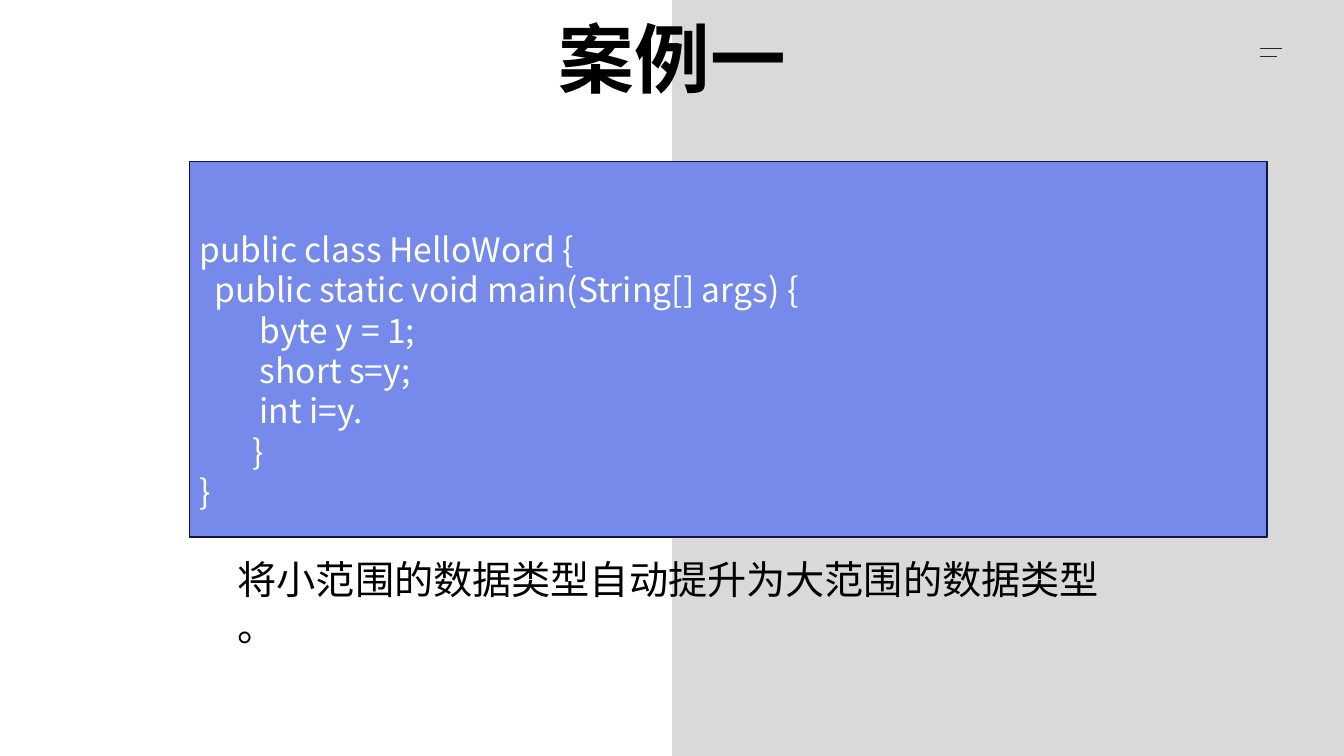
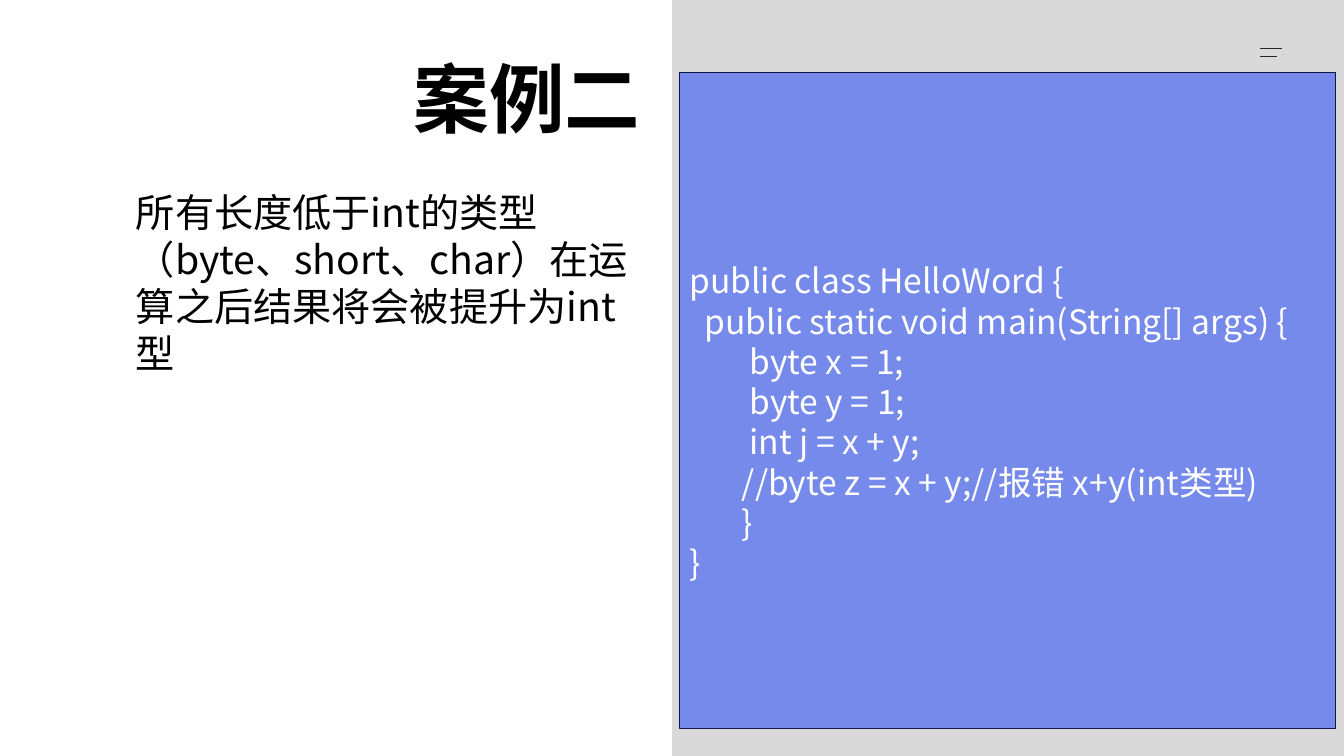
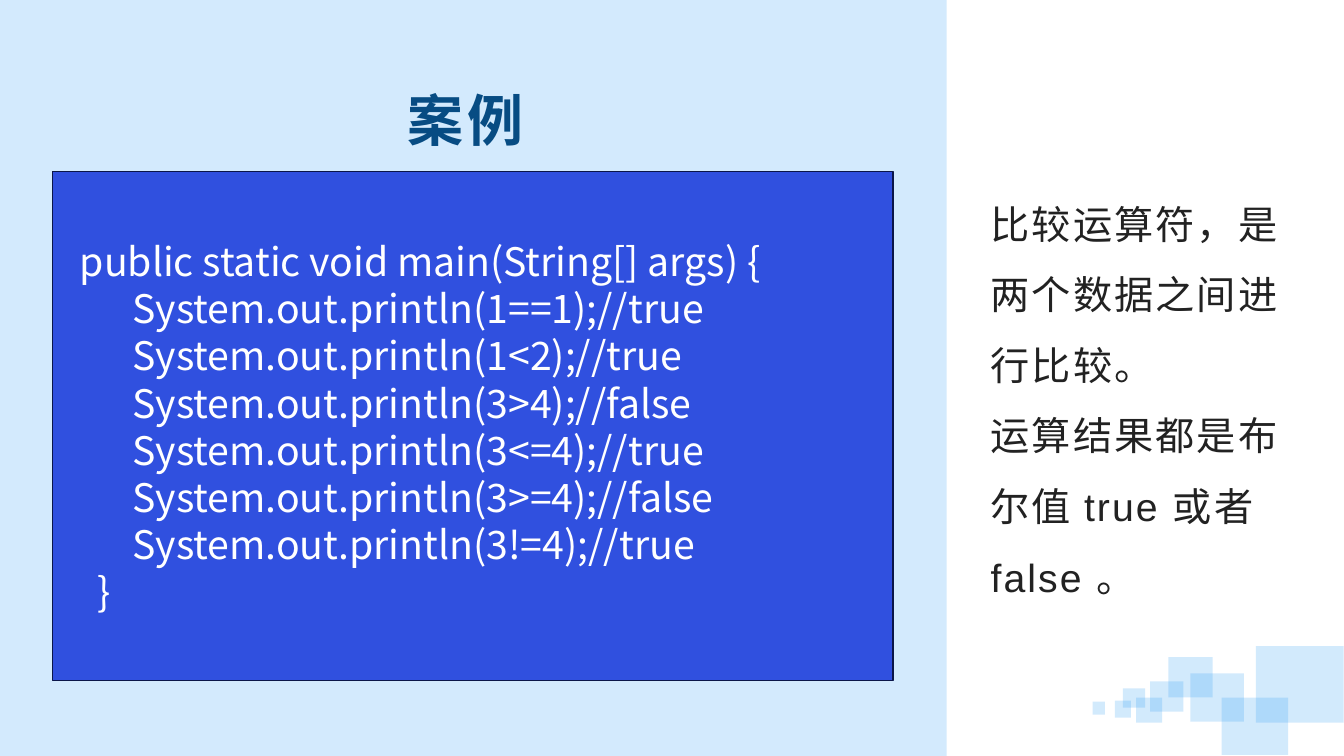
from typing import NamedTuple, Optional

from lxml.etree import SubElement
from pptx import Presentation
from pptx.dml.color import RGBColor
from pptx.enum.shapes import MSO_CONNECTOR as Connector, MSO_SHAPE as Preset
from pptx.enum.text import MSO_ANCHOR as Anchor, MSO_AUTO_SIZE as AutoSize, PP_ALIGN as Align
from pptx.oxml.ns import qn
from pptx.util import Inches, Pt

# Grid: ten cells to the inch
COLUMNS, ROWS = 133.33, 75
HALF = COLUMNS / 2
INSET_X, INSET_Y = 1, 0.5

# Shared palette and fonts
BLACK, WHITE, INK = "000000", "FFFFFF", "222222"
GREY, DASH, OUTLINE = "D9D9D9", "262626", "0B1649"
PERIWINKLE, ROYAL = "758AEA", "3050DF"
PALE_BLUE, DEEP_BLUE, SQUARE_BLUE = "D3EAFD", "074C83", "2196F3"
LATIN, CJK = "Arial", "Noto Sans CJK SC"
TITLE = dict(font=LATIN, size=54, bold=True, anchor=Anchor.MIDDLE)


class Box(NamedTuple):
    left: float
    top: float
    width: float
    height: float


class CodePanel(NamedTuple):
    box: Box
    fill: str
    size: int
    lines: list[str]
    top_inset: float = INSET_Y


MENU_DASHES = [(4.8, 2.2), (5.6, 1.7)]  # row, length

CORNER_SQUARES = [
    Box(124.6, 64.1, 8.7, 7.6), Box(121.2, 69.2, 6.6, 5.7), Box(118.1, 66.8, 5.3, 4.8),
    Box(115.9, 65.2, 4.4, 4), Box(114.1, 67.6, 3.3, 3), Box(112.7, 69.2, 2.6, 2.5),
    Box(111.4, 68.3, 2.2, 1.9), Box(110.6, 69.5, 1.6, 1.7), Box(108.4, 69.6, 1.2, 1.3),
]

CLASS_OPENING = ["public class HelloWord {", "  public static void main(String[] args) {"]
CLASS_CLOSING = ["       }", "}"]

WIDENING = CodePanel(
    Box(18.8, 16, 106.9, 37.3), PERIWINKLE, 24,
    CLASS_OPENING
    + ["        byte y = 1;", "        short s=y;", "        int i=y."]
    + CLASS_CLOSING,
    top_inset=4.6,
)
PROMOTION = CodePanel(
    Box(67.4, 7.2, 65.1, 65.1), PERIWINKLE, 24,
    CLASS_OPENING
    + ["        byte x = 1;", "        byte y = 1;", "        int j = x + y;",
       "       //byte z = x + y;//报错 x+y(int类型)"]
    + CLASS_CLOSING,
    top_inset=4.6,
)
COMPARISONS = ["1==1);//true", "1<2);//true", "3>4);//false",
               "3<=4);//true", "3>=4);//false", "3!=4);//true"]
COMPARISON = CodePanel(
    Box(5.2, 17, 83.4, 50.5), ROYAL, 28,
    ["  public static void main(String[] args) {"]
    + [f"        System.out.println({check}" for check in COMPARISONS]
    + ["    }"],
)


def cells(count: float) -> int:
    return Inches(count / 10)


def place(box: Box) -> list[int]:
    return [cells(length) for length in box]


def rgb(value: str) -> RGBColor:
    return RGBColor.from_string(value)


def write(frame, lines: list[str], *, size: float, font: str = CJK, color: str = BLACK,
          bold: bool = False, align=Align.LEFT, anchor=Anchor.TOP, spacing: float = 0,
          line_spacing: float = 1, top_inset: float = INSET_Y, grow: bool = False) -> None:
    """Fill a text frame with one paragraph per line."""
    frame.word_wrap = True
    frame.auto_size = AutoSize.SHAPE_TO_FIT_TEXT if grow else AutoSize.NONE
    frame.vertical_anchor = anchor
    frame.margin_left = frame.margin_right = cells(INSET_X)
    frame.margin_top, frame.margin_bottom = cells(top_inset), cells(INSET_Y)
    for index, line in enumerate(lines):
        paragraph = frame.add_paragraph() if index else frame.paragraphs[0]
        paragraph.alignment = align
        paragraph.line_spacing = line_spacing
        run = paragraph.add_run()
        run.text = line
        run.font.name, run.font.size, run.font.bold = font, Pt(size), bold
        run.font.color.rgb = rgb(color)
        properties = run.font._element
        SubElement(properties, qn("a:ea")).set("typeface", CJK)
        if spacing:
            properties.set("spc", str(round(spacing * 100)))


def add_text(slide, box: Box, *lines: str, **style) -> None:
    write(slide.shapes.add_textbox(*place(box)).text_frame, list(lines), **style)


def add_rect(slide, box: Box, fill: str, outline: Optional[str] = None,
             opacity: Optional[int] = None):
    rect = slide.shapes.add_shape(Preset.RECTANGLE, *place(box))
    rect.shadow.inherit = False
    rect.fill.solid()
    rect.fill.fore_color.rgb = rgb(fill)
    if outline:
        rect.line.color.rgb = rgb(outline)
        rect.line.width = Pt(1)
    else:
        rect.line.fill.background()
    if opacity is not None:
        color = rect._element.spPr.find(f"{qn('a:solidFill')}/{qn('a:srgbClr')}")
        SubElement(color, qn("a:alpha")).set("val", str(opacity * 1000))
    return rect


def add_code(slide, panel: CodePanel) -> None:
    rect = add_rect(slide, panel.box, panel.fill, OUTLINE)
    write(rect.text_frame, panel.lines, size=panel.size, color=WHITE,
          anchor=Anchor.MIDDLE, top_inset=panel.top_inset)


def add_split_backdrop(slide) -> None:
    """Grey right half with the two menu dashes."""
    add_rect(slide, Box(HALF, 0, HALF, ROWS), GREY)
    for row, length in MENU_DASHES:
        dash = slide.shapes.add_connector(
            Connector.STRAIGHT, cells(125), cells(row), cells(125 + length), cells(row))
        dash.line.color.rgb = rgb(DASH)
        dash.line.width = Pt(1)
        SubElement(dash._element.spPr, qn("a:effectLst"))


def build_widening(slide) -> None:
    add_split_backdrop(slide)
    add_code(slide, WIDENING)
    add_text(slide, Box(22.6, 54.6, 88, 10.4),
             "将小范围的数据类型自动提升为大范围的数据类型 。", size=28, grow=True)
    add_text(slide, Box(41.9, 0, 49.6, 11.3), "案例一", align=Align.CENTER, **TITLE)


def build_promotion(slide) -> None:
    add_text(slide, Box(14.9, 0, 49.6, 19.2), "案例二", align=Align.RIGHT, **TITLE)
    add_split_backdrop(slide)
    add_code(slide, PROMOTION)
    add_text(slide, Box(12.5, 13.5, 50.8, 27.6),
             "所有长度低于int的类型（byte、short、char）在运算之后结果将会被提升为int型",
             size=28, top_inset=5.2, grow=True)


def build_comparison(slide) -> None:
    add_rect(slide, Box(0, 0, 93.9, ROWS), PALE_BLUE)
    add_text(slide, Box(4.1, 6.7, 84.1, 9.1), "案例", size=40, font=LATIN, bold=True,
             color=DEEP_BLUE, align=Align.CENTER, spacing=3, line_spacing=1.2, grow=True)
    add_text(slide, Box(97.3, 17, 33.3, 49.9),
             "比较运算符，是两个数据之间进行比较。", "运算结果都是布尔值 true 或者 false 。",
             size=28, font=LATIN, color=INK, spacing=1.5, line_spacing=1.5)
    for square in CORNER_SQUARES:
        add_rect(slide, square, SQUARE_BLUE, opacity=20)
    add_code(slide, COMPARISON)


def main() -> None:
    deck = Presentation()
    deck.slide_width, deck.slide_height = cells(COLUMNS), cells(ROWS)
    blank = deck.slide_layouts[6]
    for build in (build_widening, build_promotion, build_comparison):
        build(deck.slides.add_slide(blank))
    deck.save("out.pptx")


if __name__ == "__main__":
    main()
